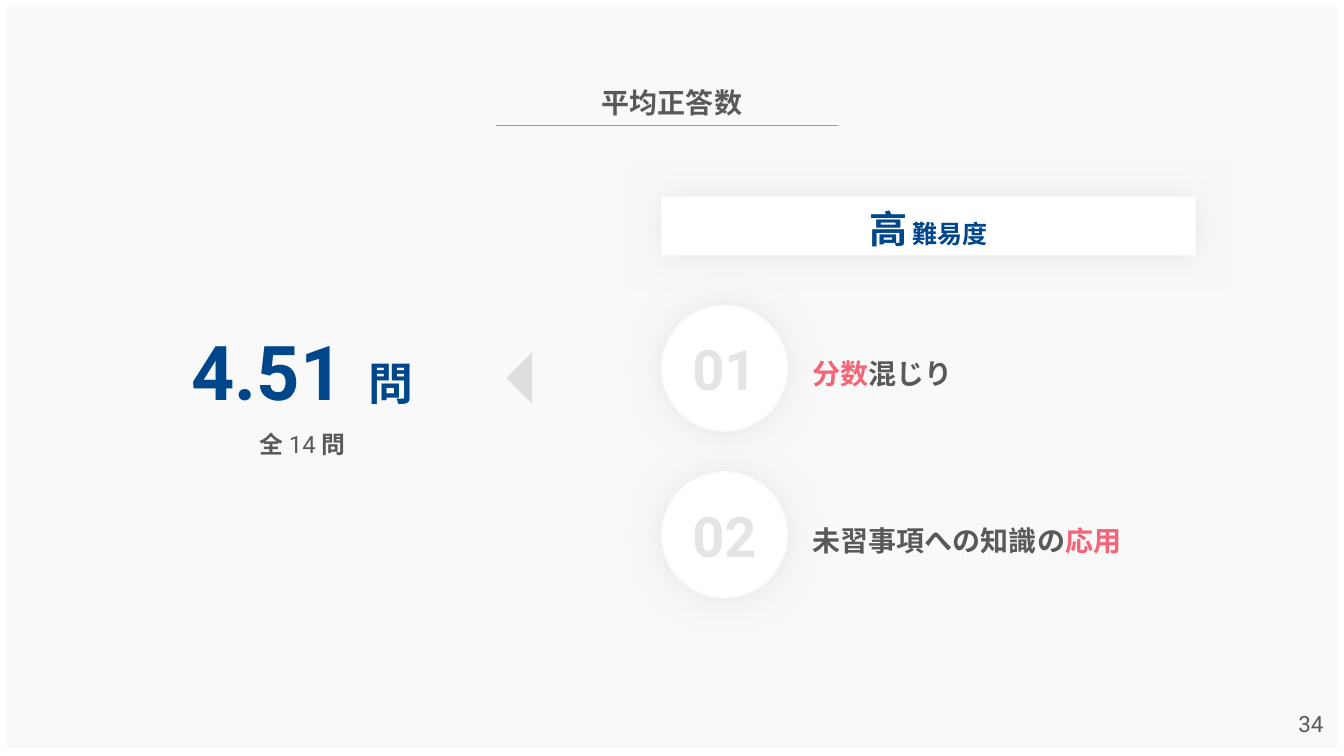
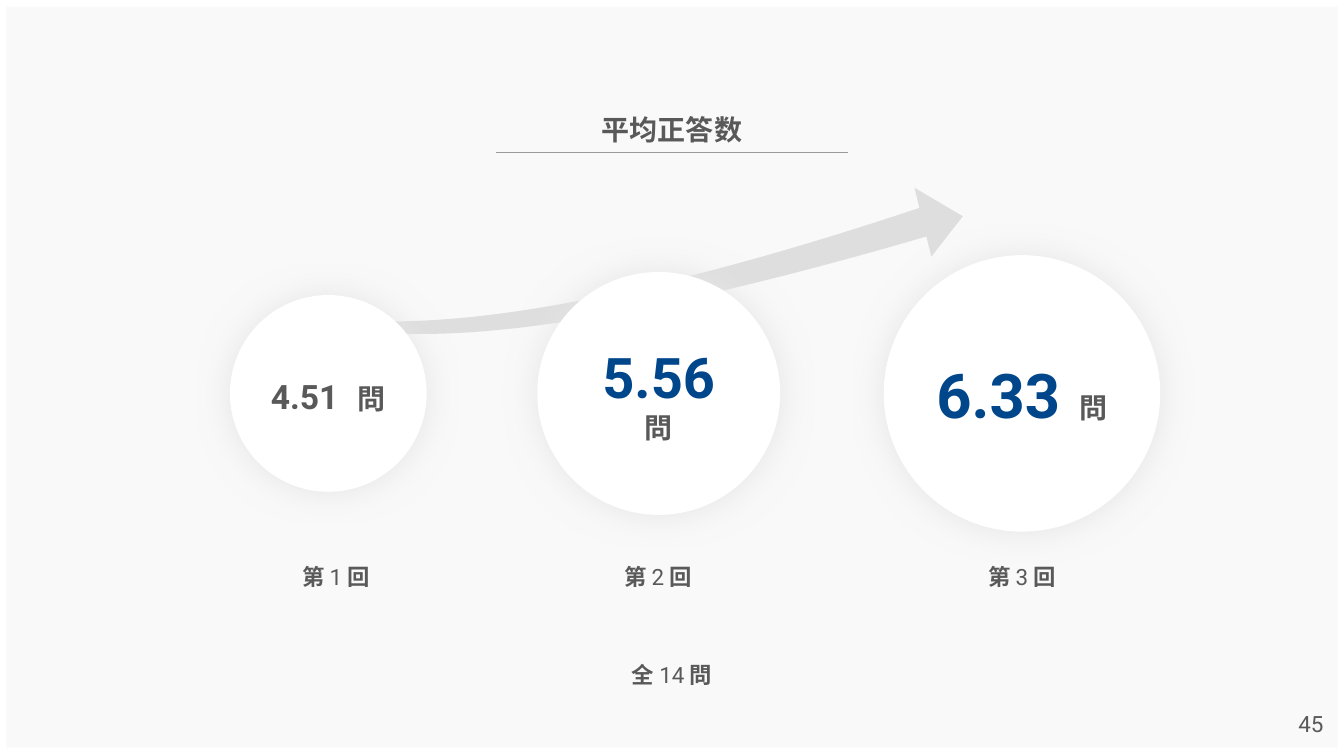
"""Build two slides on the average number of correct answers."""
from lxml import etree
from pptx import Presentation
from pptx.dml.color import RGBColor
from pptx.enum import shapes, text
from pptx.oxml import ns
from pptx.util import Pt

WHITE = RGBColor(0xFF, 0xFF, 0xFF)
PALE = RGBColor(0xF9, 0xF9, 0xF9)
GLOW = RGBColor(0xE7, 0xE5, 0xE6)
FAINT = RGBColor(0xE5, 0xE5, 0xE5)
SILVER = RGBColor(0xDE, 0xDE, 0xDE)
RULE = RGBColor(0x9B, 0x9B, 0x9B)
GREY = RGBColor(0x59, 0x59, 0x59)
BLUE = RGBColor(0x00, 0x46, 0x8B)
PINK = RGBColor(0xF5, 0x64, 0x76)
LATIN, CJK = "Roboto", "Noto Sans CJK JP"
LEFT, CENTER, RIGHT = text.PP_ALIGN.LEFT, text.PP_ALIGN.CENTER, text.PP_ALIGN.RIGHT
SHAPE = shapes.MSO_SHAPE


def add_shape(s, kind, box, fill=WHITE, line=None, glow=False):
    """Add a preset shape, with a soft glow-like shadow if asked."""
    sp = s.shapes.add_shape(kind, *map(Pt, box))
    sp.shadow.inherit = False
    sp.fill.solid()
    sp.fill.fore_color.rgb = fill
    if line is None:
        sp.line.fill.background()
    else:
        sp.line.color.rgb = line
        sp.line.width = Pt(1)
    if glow:
        effects = sp.element.spPr.find(ns.qn("a:effectLst"))
        shadow = etree.SubElement(effects, ns.qn("a:outerShdw"), blurRad=str(Pt(25)),
                                  dist="0", dir="0", algn="ctr", rotWithShape="0")
        etree.SubElement(shadow, ns.qn("a:srgbClr"), val=str(GLOW))
    return sp


def add_text(s, target, *paras, align=CENTER, spacing=1.3, font=LATIN, inset=7.2):
    """Write paragraphs of (text, size, colour, bold) runs in a shape or a new box."""
    sp = s.shapes.add_textbox(*map(Pt, target)) if isinstance(target, tuple) else target
    tf = sp.text_frame
    tf.word_wrap = True
    tf.vertical_anchor = text.MSO_ANCHOR.MIDDLE
    tf.margin_left = Pt(inset)
    for i, runs in enumerate(paras):
        p = tf.add_paragraph() if i else tf.paragraphs[0]
        p.alignment = align
        p.line_spacing = spacing
        if i:
            p.space_before = Pt(4)
        for words, size, colour, bold in runs:
            r = p.add_run()
            r.text = words
            r.font.size = Pt(size)
            r.font.bold = bold
            r.font.color.rgb = colour
            r.font.name = font
            etree.SubElement(r.font._element, ns.qn("a:ea"), typeface=CJK)


prs = Presentation()
prs.slide_width, prs.slide_height = Pt(960), Pt(540)

slides = []
for page, top, rule_end in (("34", 31, 598.5), ("45", 50.5, 606)):
    s = prs.slides.add_slide(prs.slide_layouts[6])
    add_shape(s, SHAPE.RECTANGLE, (4.5, 5, 951, 529), PALE)
    add_text(s, (911.5, 502.5, 41, 29), [(page, 16, GREY, False)], align=RIGHT, spacing=1)
    add_text(s, (378.5, top, 203, 76.5), [("平均正答数", 20, GREY, True)])
    y = Pt(top + 58.5)
    rule = s.shapes.add_connector(shapes.MSO_CONNECTOR.STRAIGHT, Pt(354), y, Pt(rule_end), y)
    rule.line.color.rgb = RULE
    rule.line.width = Pt(1)
    etree.SubElement(rule.element.spPr, ns.qn("a:effectLst"))
    slides.append(s)

s = slides[0]
add_text(s, (72, 163, 288, 214),
         [("4.51", 54, BLUE, True), (" ", 36, BLUE, True), ("問", 32, BLUE, True)],
         [("全", 17, GREY, True), ("14", 17, GREY, False), ("問", 17, GREY, True)])
pointer = add_shape(s, SHAPE.RIGHT_TRIANGLE, (367, 257, 26, 26), SILVER)
pointer.rotation = 45
banner = add_shape(s, SHAPE.RECTANGLE, (472.5, 140.5, 381.5, 42), glow=True)
add_text(s, banner, [("高", 27.2, BLUE, True), (" 難易度", 17.9, BLUE, True)],
         spacing=1.1, font=CJK)
reasons = [
    [("分数", 20, PINK, True), ("混じり", 20, GREY, True)],
    [("未習事項への知識の", 20, GREY, True), ("応用", 20, PINK, True)],
]
for i, reason in enumerate(reasons):
    top = 218 + 119 * i
    disc = add_shape(s, SHAPE.OVAL, (472.5, top, 90, 90), line=PALE, glow=True)
    add_text(s, disc, [(f"{i + 1:02}", 40, FAINT, True)], spacing=1, inset=7.2)
    add_text(s, (472.5, top, 381.5, 90), reason, align=LEFT, inset=108)

s = slides[1]
swoosh = add_shape(s, SHAPE.SWOOSH_ARROW, (220.5, 139.5, 468, 117.5), SILVER)
swoosh.adjustments[0], swoosh.adjustments[1] = 0.178, 0.25
swoosh.rotation = 339.8
swoosh.element.spPr.xfrm.set("flipV", "1")
rounds = [
    ("4.51", 24, GREY, 234.5, 140.5, 240),
    ("5.56", 40, BLUE, 470.5, 173.5, 470),
    ("6.33", 44, BLUE, 730, 197.5, 730),
]
for number, (score, size, colour, cx, d, caption_x) in enumerate(rounds, 1):
    disc = add_shape(s, SHAPE.OVAL, (cx - d / 2, 281 - d / 2, d, d), glow=True)
    add_text(s, disc, [(score, size, colour, True), (" ", 28, GREY, True),
                       ("問", 20, GREY, True)], spacing=1)
    add_text(s, (caption_x - 101.5, 371, 203, 76.5),
             [("第", 16, GREY, True), (str(number), 16, GREY, False), ("回", 16, GREY, True)])
add_text(s, (378.5, 440.5, 203, 76.5),
         [("全", 16, GREY, True), ("14", 16, GREY, False), ("問", 16, GREY, True)])

prs.save("out.pptx")
